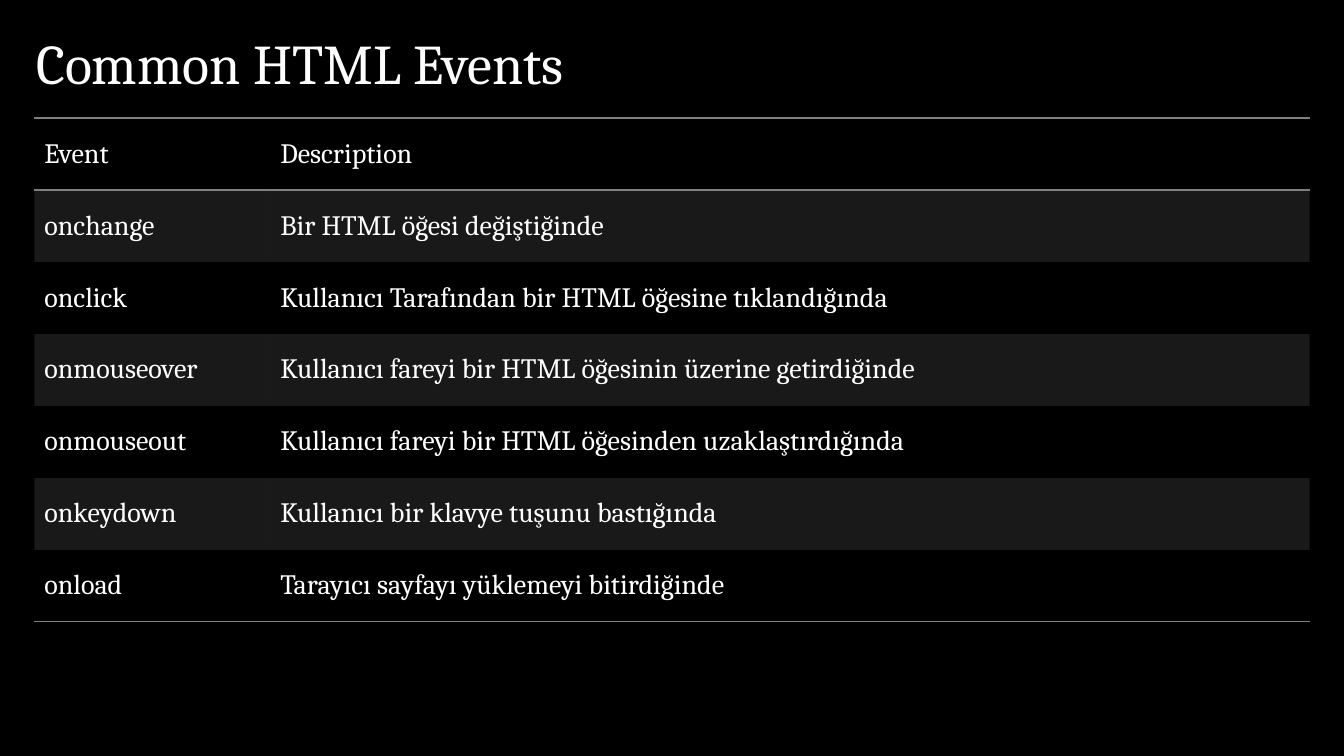
"""Build a slide with a table of common HTML events."""
from dataclasses import dataclass

import pptx
import pptx.dml.color
import pptx.enum.text
import pptx.oxml
import pptx.oxml.ns
import pptx.util
from pptx.util import Inches

WHITE = pptx.dml.color.RGBColor(0xFF, 0xFF, 0xFF)
BLACK = pptx.dml.color.RGBColor(0x00, 0x00, 0x00)
GRAY = pptx.dml.color.RGBColor(0x7F, 0x7F, 0x7F)
ANCHOR = pptx.enum.text.MSO_ANCHOR
FONT = "Cambria"
PLAIN = "{2D5ABB26-0587-4C30-8999-92F81FD0307C}"
WIDTHS = (2.34, 10.31)
HEIGHT = 5 / 7


@dataclass(frozen=True)
class Event:
    name: str
    about: str


HEAD = Event("Event", "Description")
EVENTS = (
    Event("onchange", "Bir HTML öğesi değiştiğinde"),
    Event("onclick", "Kullanıcı Tarafından bir HTML öğesine tıklandığında"),
    Event("onmouseover", "Kullanıcı fareyi bir HTML öğesinin üzerine getirdiğinde"),
    Event("onmouseout", "Kullanıcı fareyi bir HTML öğesinden uzaklaştırdığında"),
    Event("onkeydown", "Kullanıcı bir klavye tuşunu bastığında"),
    Event("onload", "Tarayıcı sayfayı yüklemeyi bitirdiğinde"),
)


def write(frame, text: str, *, size: int, space: float = 1.0) -> None:
    para = frame.paragraphs[0]
    para.line_spacing = space
    run = para.add_run()
    run.text = text
    run.font.name = FONT
    run.font.size = pptx.util.Pt(size)
    run.font.color.rgb = WHITE


def border(cell, side: str) -> None:
    space = pptx.oxml.ns.nsdecls("a")
    cell._tc.get_or_add_tcPr().append(pptx.oxml.parse_xml(
        f'<a:{side} {space} w="12700"><a:solidFill><a:srgbClr val="{GRAY}"/>'
        f'</a:solidFill></a:{side}>'))


def shade(cell, band: bool) -> None:
    if not band:
        cell.fill.background()
        return
    cell.fill.solid()
    cell.fill.fore_color.rgb = GRAY
    color = cell._tc.tcPr.find(".//" + pptx.oxml.ns.qn("a:solidFill") + "/"
                               + pptx.oxml.ns.qn("a:srgbClr")) \
        if cell._tc.tcPr.find(pptx.oxml.ns.qn("a:lnT")) is None else None
    if color is not None:
        color.append(pptx.oxml.parse_xml(
            f'<a:alpha {pptx.oxml.ns.nsdecls("a")} val="20000"/>'))


def add_title(slide, text: str) -> None:
    box = slide.shapes.add_textbox(
        Inches(0.26), Inches(0.23), Inches(10.5), Inches(0.76))
    box.text_frame.word_wrap = True
    box.text_frame.vertical_anchor = ANCHOR.BOTTOM
    write(box.text_frame, text, size=40, space=0.8)


def add_events(slide, rows: tuple[Event, ...]) -> None:
    table = slide.shapes.add_table(
        len(rows), len(WIDTHS), Inches(0.34), Inches(1.17),
        Inches(sum(WIDTHS)), Inches(HEIGHT * len(rows))).table
    table.horz_banding = False
    table._tbl.tblPr.find(pptx.oxml.ns.qn("a:tableStyleId")).text = PLAIN
    for column, width in zip(table.columns, WIDTHS):
        column.width = Inches(width)
    for index, event in enumerate(rows):
        table.rows[index].height = Inches(HEIGHT)
        for cell, text in zip(table.rows[index].cells, (event.name, event.about)):
            cell.vertical_anchor = ANCHOR.MIDDLE
            write(cell.text_frame, text, size=20)
            if index == 0:
                border(cell, "lnT")
            if index in (0, len(rows) - 1):
                border(cell, "lnB")
            shade(cell, index % 2 == 1)


def main() -> None:
    deck = pptx.Presentation()
    deck.slide_width = Inches(13.33)
    deck.slide_height = Inches(7.5)
    slide = deck.slides.add_slide(deck.slide_layouts[6])
    slide.background.fill.solid()
    slide.background.fill.fore_color.rgb = BLACK
    add_title(slide, "Common HTML Events")
    add_events(slide, (HEAD, *EVENTS))
    deck.save("out.pptx")


if __name__ == "__main__":
    main()
